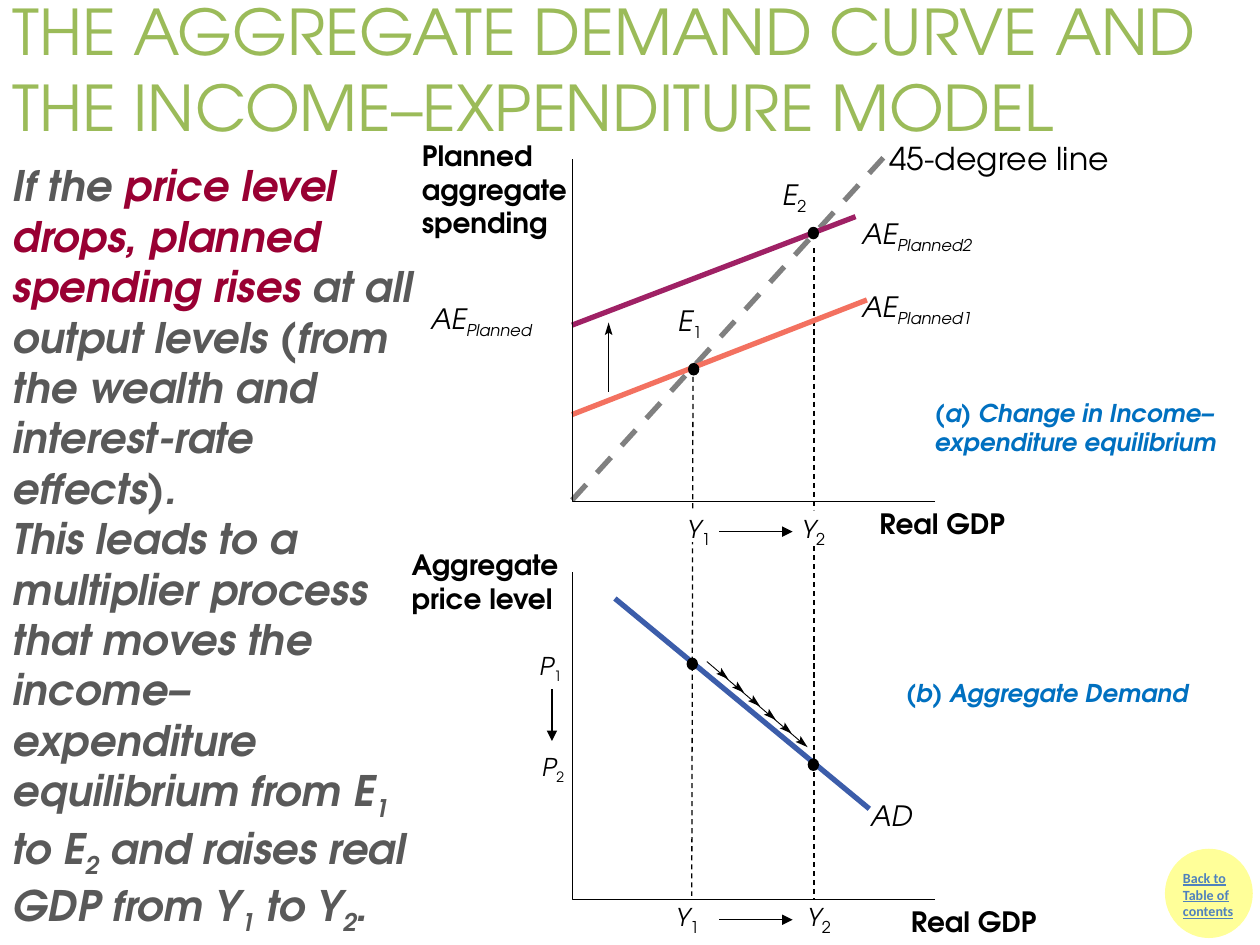
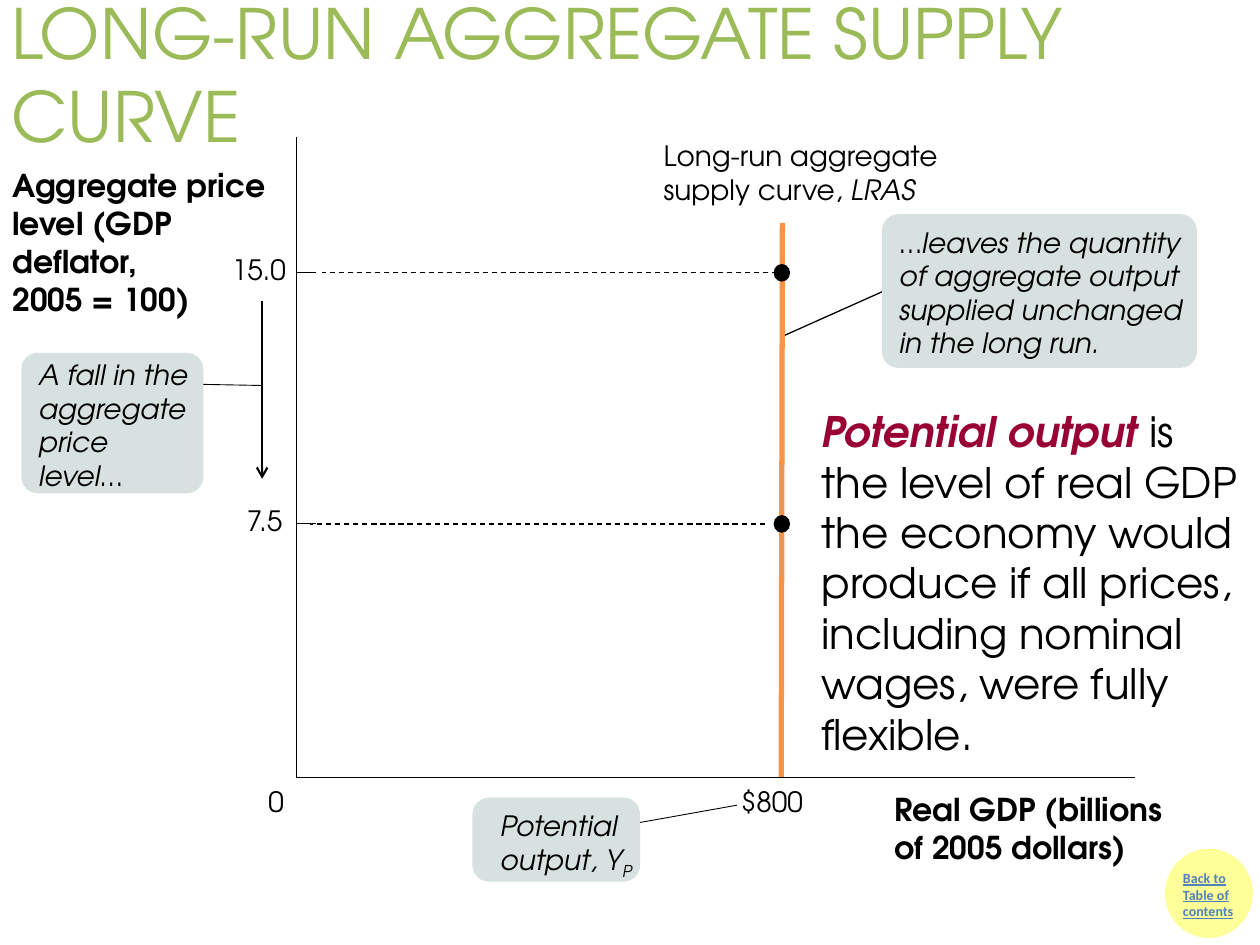
import math
import pptx
import pptx.util
import pptx.dml.color
import pptx.enum.dml
import pptx.enum.shapes
import pptx.enum.text
import pptx.oxml.ns
from lxml import etree

Pt = pptx.util.Pt
SHAPE = pptx.enum.shapes.MSO_SHAPE
ALIGN = pptx.enum.text.PP_ALIGN
ANCHOR = pptx.enum.text.MSO_ANCHOR
FONT = "TeX Gyre Adventor"
BLACK, WHITE, GREEN, GREY, MAROON = "000000", "FFFFFF", "9BBB59", "595959", "990033"
BLUE, MIST, YELLOW, LINK = "0070C0", "D7E2E0", "FFFF99", "4F81BD"
HAIR = 0.5
PAD = (7.2, 3.6, 7.2, 3.6)
BARE = (0, 0, 0, 0)


def hue(code):
    """Turn a hex string into a colour."""
    return pptx.dml.color.RGBColor.from_string(code)


def add(parent, tag, **attrs):
    """Append a drawing element to a parent."""
    return etree.SubElement(parent, pptx.oxml.ns.qn(tag), attrs)


def paint(shape, fill=None, edge=None, width=HAIR):
    """Set the fill and outline of a shape without shadow."""
    shape.shadow.inherit = False
    if fill:
        shape.fill.solid()
        shape.fill.fore_color.rgb = hue(fill)
    else:
        shape.fill.background()
    if edge:
        shape.line.color.rgb = hue(edge)
        shape.line.width = Pt(width)
    else:
        shape.line.fill.background()


def write(frame, lines, size, ink=BLACK, look="", font=FONT, pad=PAD,
          align=ALIGN.LEFT, anchor=ANCHOR.TOP):
    """Fill a frame; a line is text or a list of (text, look, ink, size) runs."""
    frame.word_wrap = True
    frame.auto_size = pptx.enum.text.MSO_AUTO_SIZE.NONE
    frame.vertical_anchor = anchor
    frame.margin_left, frame.margin_top, frame.margin_right, frame.margin_bottom = map(Pt, pad)
    for i, line in enumerate(lines):
        para = frame.add_paragraph() if i else frame.paragraphs[0]
        para.alignment = align
        para.space_before = Pt(0)
        for text, *rest in [(line,)] if isinstance(line, str) else line:
            style, tint, points = rest + [look, ink, size][len(rest):]
            run = para.add_run()
            run.text = text
            run.font.name, run.font.size = font, Pt(points)
            run.font.color.rgb = hue(tint)
            run.font.bold, run.font.italic = "b" in style, "i" in style
            if "u" in style:
                run.font.underline = True
            if "s" in style:
                run._r.get_or_add_rPr().set("baseline", "-25000")


def label(slide, at, x, y, w, h, lines, size=16, fill=None, **style):
    """Add a text box relative to a box."""
    box = slide.shapes.add_textbox(*map(Pt, (at[0] + x, at[1] + y, w, h)))
    if fill:
        paint(box, fill)
    write(box.text_frame, lines, size, **style)


def mark(slide, at, x, y, name, sub, look="s", size=16, low=None):
    """Add an italic symbol with a subscript."""
    runs = [(name, "i"), (sub, look, BLACK, low or size)]
    label(slide, at, x, y, 85, 20, [runs], size, pad=BARE)


def line(slide, at, x1, y1, x2, y2, ink=BLACK, width=HAIR, dash=False, head=None):
    """Draw a straight line relative to a box."""
    ends = (at[0] + x1, at[1] + y1, at[0] + x2, at[1] + y2)
    link = slide.shapes.add_connector(pptx.enum.shapes.MSO_CONNECTOR.STRAIGHT, *map(Pt, ends))
    link.line.color.rgb = hue(ink)
    link.line.width = Pt(width)
    if dash:
        link.line.dash_style = pptx.enum.dml.MSO_LINE.DASH
    if head:
        add(link.line._get_or_add_ln(), "a:tailEnd", type=head)
    add(link._element.spPr, "a:effectLst")


def trace(slide, at, spots, close):
    """Build an outline through points relative to a box."""
    spots = [(Pt(at[0] + x), Pt(at[1] + y)) for x, y in spots]
    build = slide.shapes.build_freeform(*spots[0])
    build.add_line_segments(spots[1:], close=close)
    return build.convert_to_shape()


def axes(slide, at):
    """Draw the two axes along the left and bottom of a box."""
    w, h = at[2:]
    paint(trace(slide, at, [(w, h), (0, h), (0, 0)], False), edge=BLACK)


def barb(slide, at, x, y, angle):
    """Draw a notched arrowhead with its tip at a point."""
    c, s = math.cos(angle), math.sin(angle)
    spots = [(0, 0), (-7.2, 2.2), (-5.8, 0), (-7.2, -2.2)]
    paint(trace(slide, at, [(x + a * c - b * s, y + a * s + b * c) for a, b in spots], True), BLACK)


def dot(slide, at, x, y, w=6.5, h=7.2):
    """Draw a black dot centred on a point."""
    spot = (at[0] + x - w / 2, at[1] + y - h / 2, w, h)
    paint(slide.shapes.add_shape(SHAPE.OVAL, *map(Pt, spot)), BLACK)


def shift(slide, at, y, first, second, h, fill=None):
    """Show output moving from Y1 to Y2 below an axis."""
    for sub, (x, w) in zip("12", (first, second)):
        runs = [("Y", "i"), (sub, "s", BLACK, 16)]
        label(slide, at, x, y, w, h, [runs], 14, fill, pad=BARE, align=ALIGN.CENTER)
    line(slide, at, 84.2, y + 12.2, 126, y + 12.2, width=0.75, head="triangle")


def button(slide, at):
    """Draw the round contents button."""
    disc = slide.shapes.add_shape(SHAPE.OVAL, *map(Pt, at))
    paint(disc, YELLOW, YELLOW, 2)
    label(slide, at, 2.2, 7.2, 51.8, 48.2, ["Back to Table of contents"], 8,
          ink=LINK, look="bu", font="Calibri")


def place(shape, at):
    """Move a placeholder to a box."""
    shape.left, shape.top, shape.width, shape.height = map(Pt, at)


def start(deck, title, at, size, lines, area):
    """Add a slide with its title, body text and button."""
    slide = deck.slides.add_slide(deck.slide_layouts[1])
    head, body = slide.shapes.title, slide.placeholders[1]
    place(head, at)
    write(head.text_frame, [title], size, GREEN, anchor=ANCHOR.MIDDLE)
    place(body, area)
    write(body.text_frame, lines, 24)
    for para in body.text_frame.paragraphs:
        props = para._p.get_or_add_pPr()
        props.set("marL", "0")
        props.set("indent", "0")
        add(props, "a:buNone")
    button(slide, (666.7, 486, 48.2, 49))
    return slide


def spend(slide, at):
    """Draw panel (a), the income-expenditure diagram."""
    line(slide, at, 0, 195.1, 180, -2.9, "808080", 3, dash=True)
    line(slide, at, 0, 146.2, 168.5, 80.7, "F37160", 3)
    line(slide, at, 0, 95.1, 162, 33.1, "9F2165", 3)
    axes(slide, at)
    line(slide, at, 20.9, 133.2, 20.9, 98.7)
    barb(slide, at, 20.9, 93.6, -math.pi / 2)
    for x, y in ((69.5, 120.3), (137.9, 42.5)):
        dot(slide, at, x, y)
    mark(slide, at, 60.5, 82.8, "E", "1")
    mark(slide, at, 120.2, 10.8, "E", "2")
    for x, y, sub in ((-80.7, 81.4, ""), (165.6, 74.9, "1"), (165.6, 33.1, "2")):
        mark(slide, at, x, y, "AE", "Planned" + sub, "is")
    label(slide, at, 174.2, -15.1, 160, 29, ["45-degree line"], 18)
    label(slide, at, -92.9, -15.1, 102.2, 64.8, ["Planned", "aggregate", "spending"], look="b")
    label(slide, at, 168.5, 195.1, 102.2, 26.6, ["Real GDP"], look="b")
    label(slide, at, 200.1, 133.2, 195.1, 41,
          ["(a) Change in Income–expenditure equilibrium"], 14, ink=BLUE, look="bi")
    shift(slide, at, 200.9, (60.5, 23.8), (126, 23.8), 18, WHITE)


def demand(slide, at):
    """Draw panel (b), the aggregate demand diagram."""
    line(slide, at, 24.5, 15.1, 169.9, 135.3, "3C5DAA", 3)
    axes(slide, at)
    for x, y in ((68.7, 52.5), (137.9, 110.1)):
        dot(slide, at, x, y)
    line(slide, at, 77, 51.1, 131, 97.2)
    for i in range(6):
        barb(slide, at, 89.3 + 9.06 * i, 61.2 + 7.78 * i, math.atan2(7.78, 9.06))
    mark(slide, at, -18.7, 45.3, "P", "1", size=14)
    mark(slide, at, -17.3, 102.9, "P", "2", size=14)
    line(slide, at, -11.5, 66.9, -11.5, 96.5, width=0.75, head="triangle")
    label(slide, at, 170.6, 129.6, 40, 20, ["AD"], look="i", pad=BARE)
    label(slide, at, -98.7, -17.3, 105, 46, ["Aggregate price level"], look="b")
    label(slide, at, 186.5, 186.5, 102.2, 26.6, ["Real GDP"], look="b")
    label(slide, at, 183.6, 56.9, 178.6, 24.5, ["(b) Aggregate Demand"], 14, ink=BLUE, look="bi")
    shift(slide, at, 186.5, (54, 23.8), (126, 30.2), 23.8)


def note(slide, at, x, y, w, h, lines, left=7.2, top=3.6):
    """Draw a rounded note relative to a box."""
    card = slide.shapes.add_shape(SHAPE.ROUNDED_RECTANGLE, *map(Pt, (at[0] + x, at[1] + y, w, h)))
    card.adjustments[0] = 9.4 / min(w, h)
    paint(card, MIST)
    write(card.text_frame, lines, 16, look="i", pad=(left, top, 0, 0))


def supply(slide, at):
    """Draw the long-run supply diagram with its notes."""
    line(slide, at, 277.9, 113.7, 340.6, 85.7, width=0.75)
    line(slide, at, 191.5, 392.4, 252, 381.6)
    line(slide, at, -55.4, 141.1, -19.4, 141.8)
    line(slide, at, 277.2, at[3], 277.9, 48.9, "F79448", 3)
    axes(slide, at)
    for price, x, y, near, far in (("15.0", -36.7, 77.4, 15.1, 275), ("7.5", -28.1, 220.9, 7.9, 267.8)):
        label(slide, at, x, y - 11.7, 34, 20, [price], pad=BARE)
        line(slide, at, 0, y, 11.5, y)
        line(slide, at, far, y, near, y, width=0.75, dash=True)
        dot(slide, at, 277.6, y, 9.4, 10.1)
    label(slide, at, -15.8, 370.1, 12, 20, ["0"], pad=BARE)
    label(slide, at, 254.2, 370.1, 40, 20, ["$800"], pad=BARE)
    line(slide, at, -19.4, 93.6, -19.4, 195.1, width=1.25, head="arrow")
    label(slide, at, 334.8, 369.3, 185.8, 50.4, ["Real GDP (billions of 2005 dollars)"], 18, look="b")
    label(slide, at, -at[0], 12.9, 174.2, 94.3,
          ["Aggregate price", "level (GDP deflator,", "2005 = 100)"], 18, look="b")
    label(slide, at, 203, -2.9, 180, 46,
          ["Long-run aggregate", [("supply curve, ",), ("LRAS", "i")]])
    note(slide, at, -157, 123.1, 104, 80.3, ["A fall in the", "aggregate", "price level…"], top=0)
    note(slide, at, 334.8, 43.9, 180, 87.8,
         ["…leaves the quantity", "of aggregate output", "supplied unchanged", "in the long run."])
    note(slide, at, 100.8, 377.3, 95.8, 48,
         ["Potential", [("output, Y",), ("P", "is")]], left=13)


def model(deck):
    """Build the slide on demand and the income-expenditure model."""
    bold, low = ("bi", GREY), ("bis", GREY)
    lines = [
        [("If the ", *bold), ("price level drops, planned spending rises ", "bi", MAROON),
         ("at all output levels (from the wealth and interest-rate effects).", *bold)],
        [("This leads to a multiplier process that moves the income–expenditure equilibrium from E", *bold),
         ("1", *low), (" to E", *bold), ("2", *low), (" and raises real GDP from Y", *bold),
         ("1", *low), (" to Y", *bold), ("2", *low), (".", *bold)]]
    slide = start(deck, "THE AGGREGATE DEMAND CURVE AND THE INCOME–EXPENDITURE MODEL",
                  (0, 5.8, 720, 66.2), 36, lines, (0, 87.8, 246.2, 443.5))
    base = (326.9, 0)
    line(slide, base, 69.1, 215.3, 68.4, 511.9, width=0.75, dash=True)
    line(slide, base, 138.2, 141.8, 138.2, 513.4, width=0.75, dash=True)
    spend(slide, (326.9, 90.7, 207.4, 195.8))
    demand(slide, (326.9, 326.9, 207.4, 187.2))


def long(deck):
    """Build the slide on long-run supply."""
    lines = [[("Potential output ", "bi", MAROON),
              ("is the level of real GDP the economy would produce if all prices, "
               "including nominal wages, were fully flexible.",)]]
    slide = start(deck, "LONG-RUN AGGREGATE SUPPLY CURVE", (-0.7, 0, 720, 84.2), 39.6,
                  lines, (462.2, 228.2, 258.5, 211))
    supply(slide, (169.2, 78.5, 479.5, 365.8))


def main():
    """Build and save the deck."""
    deck = pptx.Presentation()
    deck.slide_width, deck.slide_height = Pt(720), Pt(540)
    model(deck)
    long(deck)
    deck.save("out.pptx")


if __name__ == "__main__":
    main()
